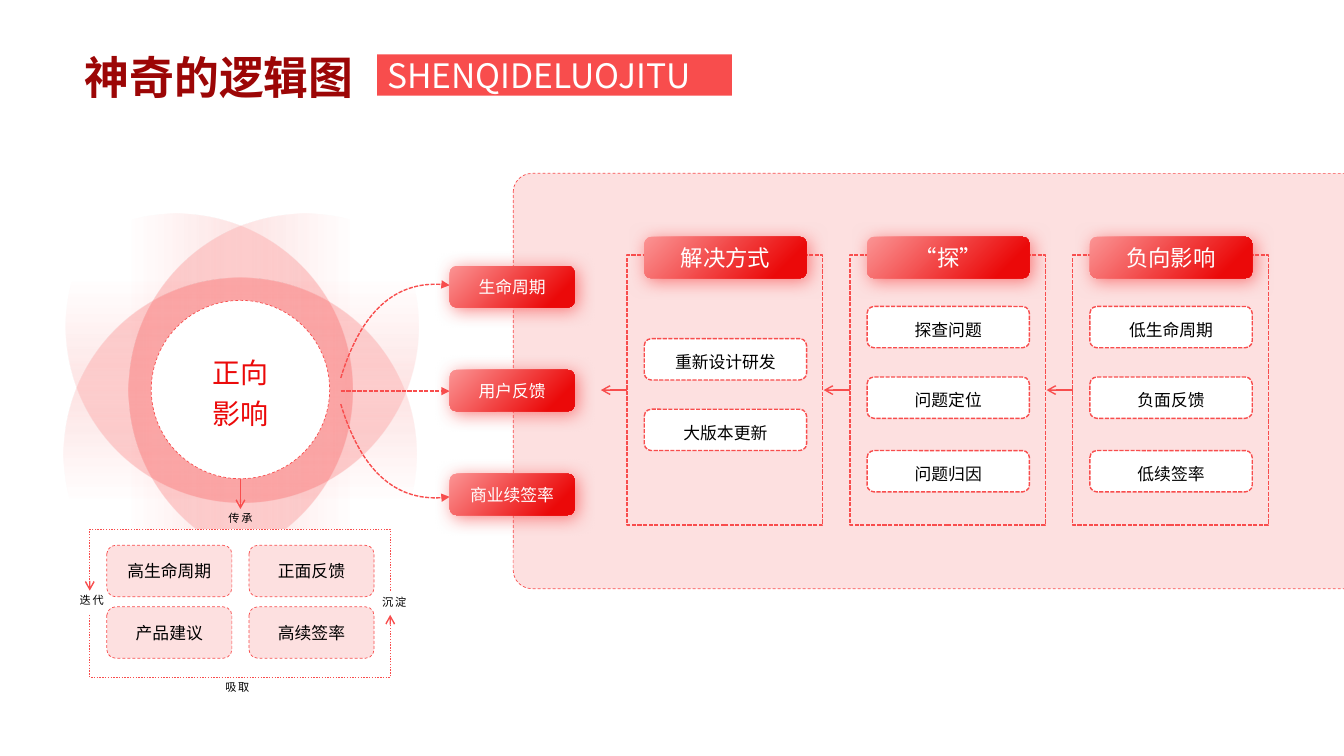
from lxml import etree
from pptx import Presentation
from pptx.dml.color import RGBColor
from pptx.enum.dml import MSO_LINE
from pptx.enum.shapes import MSO_CONNECTOR, MSO_SHAPE
from pptx.enum.text import MSO_ANCHOR, PP_ALIGN
from pptx.oxml import parse_xml
from pptx.oxml.ns import qn
from pptx.util import Inches, Pt

RED = RGBColor(0xF8, 0x4D, 0x4D)
DEEP = RGBColor(0xEB, 0x09, 0x09)
LIGHT = RGBColor(0xFB, 0x94, 0x94)
PINK = RGBColor(0xFC, 0xB8, 0xB8)
DARK = RGBColor(0x9C, 0x06, 0x06)
WHITE = RGBColor(0xFF, 0xFF, 0xFF)
BLACK = RGBColor(0x00, 0x00, 0x00)
JP = "Noto Sans CJK JP"
SC = "Noto Sans CJK SC"
RECT, ROUND, OVAL = MSO_SHAPE.RECTANGLE, MSO_SHAPE.ROUNDED_RECTANGLE, MSO_SHAPE.OVAL
DASH, SHORT, DOT = MSO_LINE.DASH, MSO_LINE.SQUARE_DOT, MSO_LINE.ROUND_DOT
LEFT, MID, RIGHT = PP_ALIGN.LEFT, PP_ALIGN.CENTER, PP_ALIGN.RIGHT
TOP, CORE = MSO_ANCHOR.TOP, MSO_ANCHOR.MIDDLE
SPACE = "http://schemas.openxmlformats.org/drawingml/2006/main"
COLS, ROWS = 133.3, 75


def write(shape, text, size=12, color=BLACK, font=JP, bold=False, align=MID,
          anchor=CORE, gap=None, track=0, pad=0, drop=0):
    frame = shape.text_frame
    frame.word_wrap = True
    frame.vertical_anchor = anchor
    frame.margin_left = frame.margin_right = Inches(pad)
    frame.margin_top, frame.margin_bottom = Inches(drop), 0
    for n, line in enumerate(text.split("\n")):
        para = frame.add_paragraph() if n else frame.paragraphs[0]
        para.alignment = align
        if gap:
            para.line_spacing = gap
        run = para.add_run()
        run.text = line
        run.font.size, run.font.bold, run.font.name = Pt(size), bold, font
        run.font.color.rgb = color
        props = run._r.get_or_add_rPr()
        if track:
            props.set("spc", str(int(track * 100)))
        etree.SubElement(props, qn("a:ea"), typeface=font)


class Board:
    def __init__(self, deck):
        self.slide = deck.slides.add_slide(deck.slide_layouts[6])
        self.shapes = self.slide.shapes
        self.col = deck.slide_width / COLS
        self.row = deck.slide_height / ROWS

    def spot(self, x, y):
        return round(x * self.col), round(y * self.row)

    def edge(self, line, width, dash=None, tip=None):
        line.color.rgb = RED
        line.width = Pt(width)
        if dash:
            line.dash_style = dash
        if tip:
            etree.SubElement(line._get_or_add_ln(), qn("a:tailEnd"), type=tip)

    def box(self, kind, x, y, w, h, fill=None, alpha=None, width=0, dash=None):
        shape = self.shapes.add_shape(kind, *self.spot(x, y), *self.spot(w, h))
        shape.shadow.inherit = False
        if fill is None:
            shape.fill.background()
        else:
            shape.fill.solid()
            shape.fill.fore_color.rgb = fill
        if alpha:
            tint = shape._element.spPr.find(".//" + qn("a:srgbClr"))
            etree.SubElement(tint, qn("a:alpha"), val=str(alpha * 1000))
        if width:
            self.edge(shape.line, width, dash)
        else:
            shape.line.fill.background()
        return shape

    def blend(self, kind, x, y, w, h, stops, turn):
        shape = self.box(kind, x, y, w, h)
        props = shape._element.spPr
        props.remove(props.find(qn("a:noFill")))
        marks = "".join(
            f'<a:gs pos="{pos * 1000}"><a:srgbClr val="{color}">'
            f'<a:alpha val="{alpha * 1000}"/></a:srgbClr></a:gs>'
            for pos, color, alpha in stops)
        props.insert(2, parse_xml(
            f'<a:gradFill xmlns:a="{SPACE}" rotWithShape="1"><a:gsLst>{marks}</a:gsLst>'
            f'<a:lin ang="{turn * 60000}" scaled="0"/></a:gradFill>'))
        return shape

    def petal(self, x, y, turn):
        self.blend(OVAL, x, y, 35, 35, [(0, RED, 30), (63, RED, 0)], turn)

    def button(self, x, y, w, text, size=12):
        shape = self.blend(ROUND, x, y, w, 4.1, [(0, LIGHT, 100), (84, DEEP, 100)], 45)
        glow = parse_xml(
            f'<a:outerShdw xmlns:a="{SPACE}" blurRad="{Pt(13)}" dist="{Pt(3)}" dir="2700000" '
            f'algn="tl" rotWithShape="0"><a:srgbClr val="{RED}"><a:alpha val="70000"/>'
            '</a:srgbClr></a:outerShdw>')
        shape._element.spPr.find(qn("a:effectLst")).append(glow)
        write(shape, text, size=size, color=WHITE)

    def label(self, x, y, w, h, text, **form):
        write(self.shapes.add_textbox(*self.spot(x, y), *self.spot(w, h)),
              text, anchor=TOP, **form)

    def arrow(self, x, y, to_x, to_y, tip="arrow", dash=None):
        link = self.shapes.add_connector(
            MSO_CONNECTOR.STRAIGHT, *self.spot(x, y), *self.spot(to_x, to_y))
        self.edge(link.line, 1, dash, tip)
        etree.SubElement(link._element.spPr, qn("a:effectLst"))

    def trace(self, points, tip, dash, fill=None):
        first, *rest = [self.spot(*p) for p in points]
        pen = self.shapes.build_freeform(*first)
        pen.add_line_segments(rest, close=False)
        shape = pen.convert_to_shape()
        shape.shadow.inherit = False
        if fill is None:
            shape.fill.background()
        else:
            shape.fill.solid()
            shape.fill.fore_color.rgb = fill
        self.edge(shape.line, 1, dash, tip)


def curve(a, b, c, d, count=30):
    for n in range(count + 1):
        t = n / count
        s = 1 - t
        yield tuple(s**3 * i + 3 * s * s * t * j + 3 * s * t * t * k + t**3 * m
                    for i, j, k, m in zip(a, b, c, d))


def main():
    deck = Presentation()
    deck.slide_width, deck.slide_height = Inches(13.33), Inches(7.5)
    board = Board(deck)

    for x, y, turn in [(0, 21.2, 180), (12.8, 21.2, 0), (6.3, 27.6, 90), (6.5, 14.8, 270)]:
        board.petal(x, y, turn)
    panel = board.box(ROUND, 50.9, 17.2, 85.7, 41.2, PINK, 43, 0.5, DASH)
    panel.adjustments[0] = 0.045

    west, east = 8.9, 38.7
    board.trace([(west, 61), (west, 67.2), (east, 67.2), (east, 61)], "arrow", DOT, WHITE)
    board.trace([(east, 58.6), (east, 52.5), (west, 52.5), (west, 58.6)], "arrow", DOT, WHITE)
    hub = board.box(OVAL, 15, 29.8, 17.7, 17.7, WHITE, width=0.5, dash=DASH)
    write(hub, "正向\n影响", size=20, color=DEEP, font=SC, gap=1.2)

    for n, text in enumerate(["高生命周期", "正面反馈", "产品建议", "高续签率"]):
        row, col = divmod(n, 2)
        tile = board.box(ROUND, 10.6 + 14.1 * col, 54.1 + 6.1 * row, 12.4, 5.1,
                         PINK, 43, 0.5, DASH)
        write(tile, text)
    for x, y, text, align in [(4.4, 58.9, "迭代", RIGHT), (20.6, 67.5, "吸取", MID),
                              (37.9, 59.1, "沉淀", LEFT), (20.9, 50.7, "传承", MID)]:
        board.label(x, y, 5.9, 1.3, text, size=8, track=1.2, align=align)
    board.arrow(23.85, 47.5, 23.85, 50.5)

    axis = 38.8
    for side in (-1, 1):
        bend = [(33.8, 1.3), (35.9, 8.2), (39.5, 11.2), (44.6, 10.5)]
        board.trace(list(curve(*[(x, axis + side * y) for x, y in bend])), "triangle", SHORT)
    board.arrow(33.8, axis, 44.6, axis, "triangle", SHORT)
    for n, text in enumerate(["生命周期", "用户反馈", "商业续签率"]):
        board.button(44.6, 26.4 + 10.3 * n, 12.4, text)

    full, pair = (30.4, 37.4, 44.7), (33.6, 40.6)
    stages = [("解决方式", pair, ["重新设计研发", "大版本更新"]),
              ("“探”", full, ["探查问题", "问题定位", "问题归因"]),
              ("负向影响", full, ["低生命周期", "负面反馈", "低续签率"])]
    for n, (head, tops, items) in enumerate(stages):
        x = 62.2 + 22.1 * n
        board.box(RECT, x, 25.3, 19.4, 26.8, width=1, dash=SHORT)
        board.button(x + 1.7, 23.5, 16.1, head, size=16)
        for y, text in zip(tops, items):
            card = board.box(ROUND, x + 1.7, y, 16.1, 4.1, WHITE, width=1, dash=SHORT)
            write(card, text, drop=0.05)
        board.arrow(x, 38.7, x - 2.6, 38.7)

    board.label(8.4, 4.9, 32.7, 5.4, "神奇的逻辑图", size=32, color=DARK, font=SC,
                bold=True, align=LEFT)
    band = board.box(RECT, 37.4, 5.4, 35.2, 4.1, RED)
    write(band, "SHENQIDELUOJITU", size=24, color=WHITE, align=LEFT, pad=0.1)

    deck.save("out.pptx")


if __name__ == "__main__":
    main()
